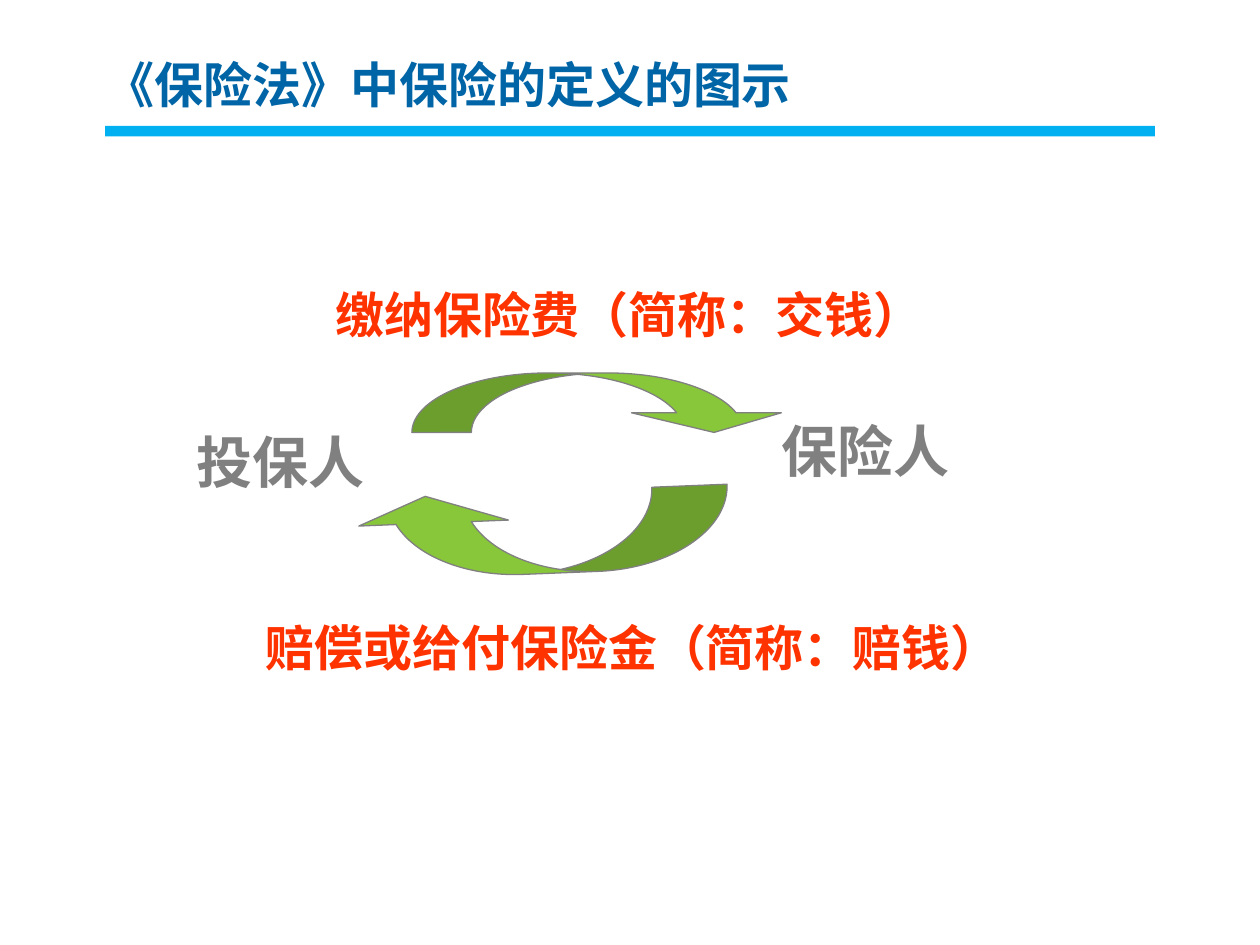
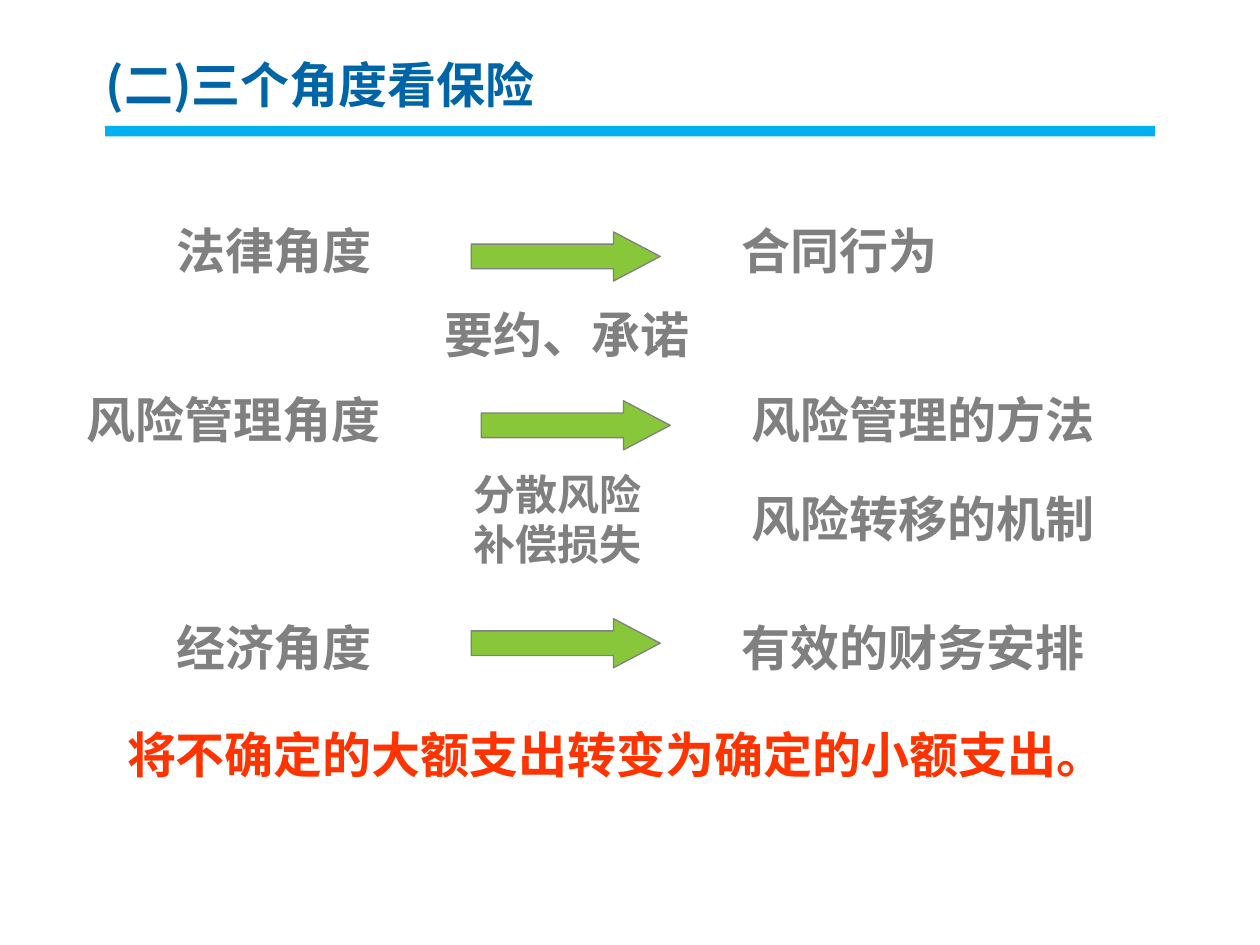
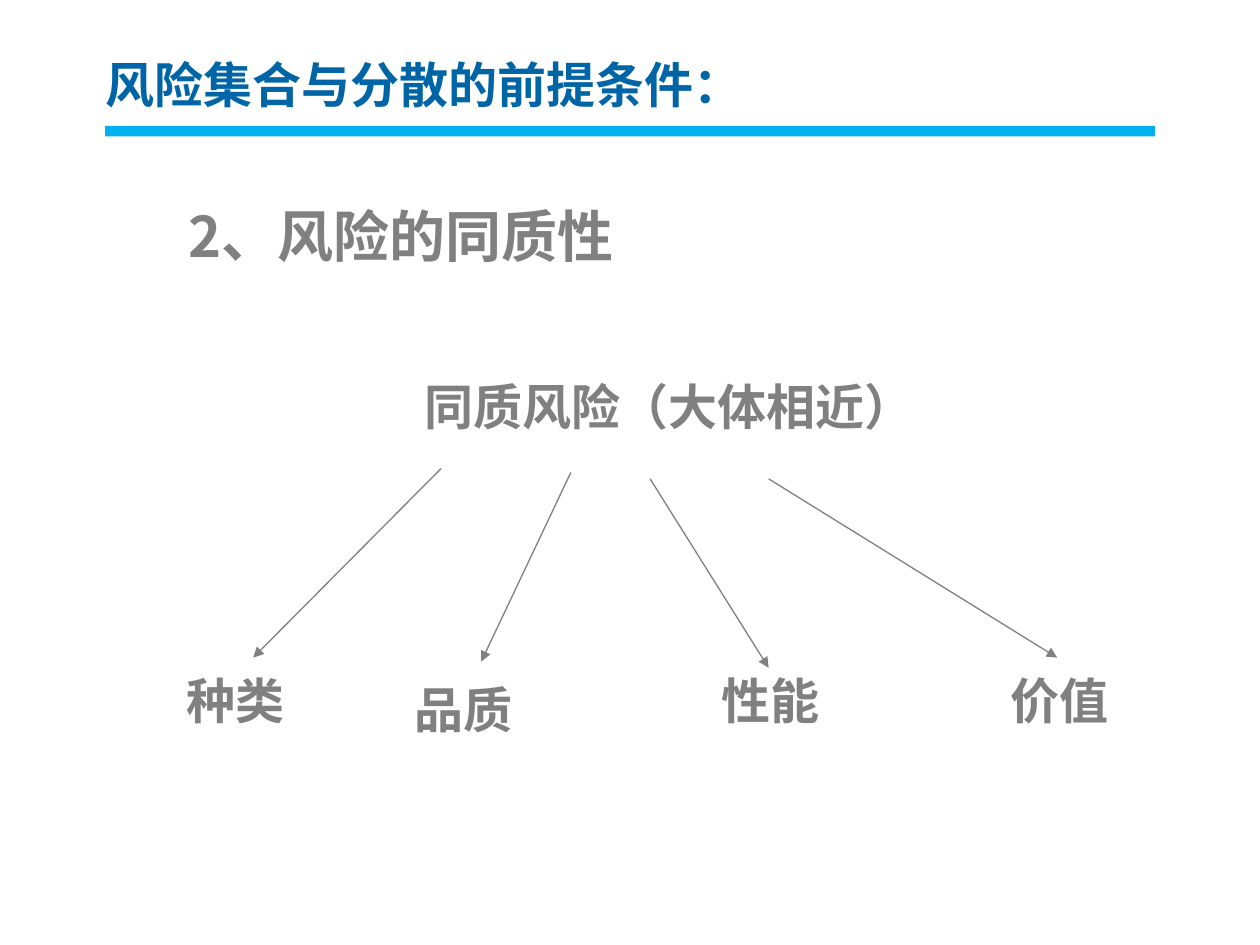
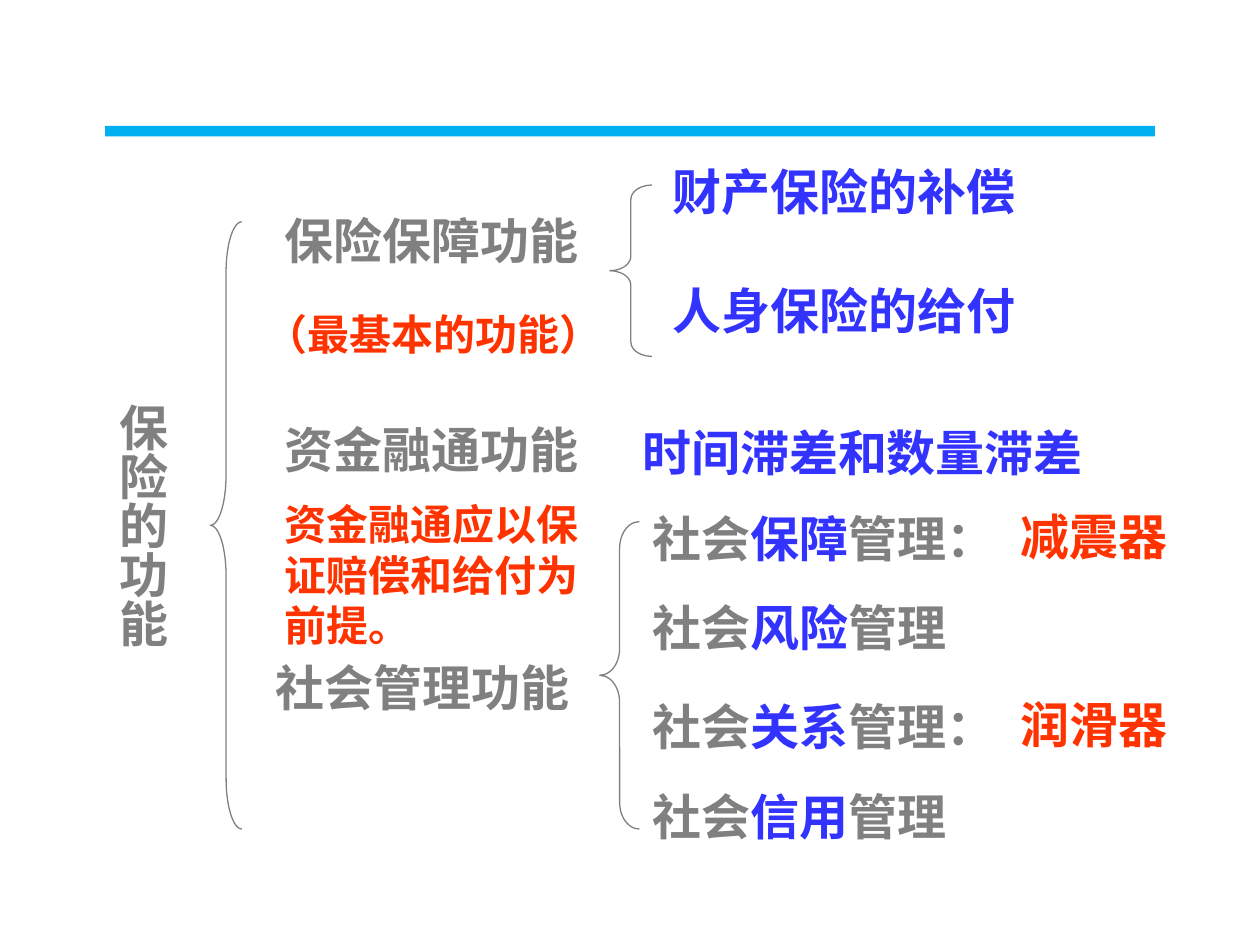
"""Build four slides that explain what insurance is and what it does."""
from dataclasses import dataclass

from lxml import etree
from pptx import Presentation
from pptx.dml.color import RGBColor
from pptx.enum import shapes, text
from pptx.oxml import ns
from pptx.util import Pt


@dataclass(frozen=True)
class Theme:
    """Hold the colours, type sizes and fonts of the deck."""
    blue: str = "0065A6"
    band: str = "00B0F0"
    red: str = "FF3300"
    gray: str = "808080"
    ink: str = "3333FF"
    green: str = "88C63A"
    small: int = 24
    body: int = 28
    large: int = 32
    rule: float = 0.75
    lead: float = 1.2
    slack: float = 4
    sans: str = "DejaVu Sans"
    latin: str = "Arial"
    han: str = "Noto Sans CJK SC"


T = Theme()
KIND = shapes.MSO_SHAPE


@dataclass(frozen=True)
class Span:
    """Describe one run of text."""
    words: str
    color: str = T.gray
    font: str = T.han


@dataclass(frozen=True)
class Note:
    """Describe one text box; each row of spans is a paragraph."""
    x: float
    y: float
    w: float
    rows: tuple[tuple[Span, ...], ...]
    size: int = T.body
    lines: int = 1


@dataclass(frozen=True)
class Form:
    """Describe one preset shape."""
    kind: shapes.MSO_SHAPE
    x: float
    y: float
    w: float
    h: float
    adj: tuple[float, ...] = ()
    fill: str | None = T.green
    line: str | None = T.gray
    turn: float = 0


@dataclass(frozen=True)
class Ray:
    """Describe one arrow from a start point to an end point."""
    x1: float
    y1: float
    x2: float
    y2: float


def add_run(para, span: Span, size: int) -> None:
    """Append one bold run to a paragraph."""
    run = para.add_run()
    run.text = span.words
    font = run.font
    font.name, font.size, font.bold = span.font, Pt(size), True
    font.color.rgb = RGBColor.from_string(span.color)
    east = etree.SubElement(font._element, ns.qn("a:ea"))
    east.set("typeface", T.han)


def add_note(slide, note: Note):
    """Draw one text box and return its frame."""
    count = max(note.lines, len(note.rows))
    high = count * note.size * T.lead + 7.2
    box = slide.shapes.add_textbox(
        Pt(note.x), Pt(note.y), Pt(note.w + T.slack), Pt(high))
    frame = box.text_frame
    frame.word_wrap = True
    for i, row in enumerate(note.rows):
        para = frame.add_paragraph() if i else frame.paragraphs[0]
        for span in row:
            add_run(para, span, note.size)
    return frame


def add_form(slide, form: Form):
    """Draw one preset shape."""
    shape = slide.shapes.add_shape(
        form.kind, Pt(form.x), Pt(form.y), Pt(form.w), Pt(form.h))
    shape.shadow.inherit = False
    shape.rotation = form.turn
    for i, value in enumerate(form.adj):
        shape.adjustments[i] = value
    if form.fill:
        shape.fill.solid()
        shape.fill.fore_color.rgb = RGBColor.from_string(form.fill)
    else:
        shape.fill.background()
    if form.line:
        shape.line.color.rgb = RGBColor.from_string(form.line)
        shape.line.width = Pt(T.rule)
    else:
        shape.line.fill.background()
    return shape


def add_ray(slide, ray: Ray) -> None:
    """Draw one thin line with an arrowhead at its end."""
    link = slide.shapes.add_connector(
        shapes.MSO_CONNECTOR.STRAIGHT,
        Pt(ray.x1), Pt(ray.y1), Pt(ray.x2), Pt(ray.y2))
    link.line.color.rgb = RGBColor.from_string(T.gray)
    link.line.width = Pt(T.rule)
    head = etree.SubElement(link.line._get_or_add_ln(), ns.qn("a:tailEnd"))
    head.set("type", "triangle")
    etree.SubElement(link.element.spPr, ns.qn("a:effectLst"))


def add_page(deck, title: str = ""):
    """Add a slide, with a title when there is one."""
    slide = deck.slides.add_slide(deck.slide_layouts[5 if title else 6])
    if title:
        frame = slide.shapes.title.text_frame
        frame.vertical_anchor = text.MSO_ANCHOR.TOP
        para = frame.paragraphs[0]
        para.alignment = text.PP_ALIGN.LEFT
        add_run(para, Span(title, T.blue), T.body)
    return slide


def set_base(deck, slide) -> None:
    """Place the title on its layout and the band on the master."""
    head = deck.slide_layouts[5].placeholders[0]
    head.left, head.top = Pt(53.3), Pt(27.4)
    head.width, head.height = Pt(625), Pt(49.7)
    band = add_form(slide, Form(KIND.RECTANGLE, 60, 72, 600, 6,
                                fill=T.band, line=None))
    band.element.nvSpPr.cNvPr.set("id", "20")
    deck.slide_master.shapes.element.append(band.element)


def one(x: float, y: float, w: float, words: str, color: str = T.gray,
        font: str = T.han, size: int = T.body) -> Note:
    """Make a note of one line in one colour."""
    return Note(x, y, w, ((Span(words, color, font),),), size)


def draw_cycle(deck) -> None:
    """Show the exchange between the two parties."""
    slide = add_page(deck, "《保险法》中保险的定义的图示")
    set_base(deck, slide)
    claim = (Span("赔偿或给付保险金", T.red, T.sans),
             Span("（简称：赔钱）", T.red, T.latin))
    for note in (
        one(184.5, 159.1, 350, "缴纳保险费（简称：交钱）", T.red, T.sans),
        Note(144.7, 349.2, 433.4, (claim,)),
        one(105.1, 240.5, 110.2, "投保人", font=T.sans, size=T.large),
        one(439.2, 234.7, 110.2, "保险人", font=T.sans, size=T.large),
    ):
        add_note(slide, note)
    bend = KIND.CURVED_DOWN_ARROW
    add_form(slide, Form(bend, 235.4, 213.1, 215.5, 34, (1, 2.52, 0.33)))
    add_form(slide, Form(bend, 201, 281, 215.5, 46.8, (0.92, 1.83, 0.33),
                         turn=177.7))


def draw_views(deck) -> None:
    """Show the three views of insurance."""
    slide = add_page(deck, "(二)三个角度看保险")
    for x, y, w, words in (
        (93.6, 122.4, 126, "法律角度"),
        (42.5, 218.9, 182.2, "风险管理角度"),
        (93.6, 349.2, 126, "经济角度"),
        (416.9, 122.4, 126, "合同行为"),
        (422.6, 218.9, 210.2, "风险管理的方法"),
        (422.6, 275.8, 210.2, "风险转移的机制"),
        (416.9, 349.2, 210.2, "有效的财务安排"),
        (247, 170.6, 154, "要约、承诺"),
    ):
        add_note(slide, one(x, y, w, words, font=T.sans))
    rows = tuple((Span(words, font=T.sans),) for words in ("分散风险", "补偿损失"))
    add_note(slide, Note(263.5, 264.2, 110.2, rows, T.small))
    add_note(slide, one(65.5, 410.4, 573.1,
                        "将不确定的大额支出转变为确定的小额支出。", T.red, T.sans))
    for x, y in ((269.3, 132.5), (275, 229), (269.3, 353.5)):
        add_form(slide, Form(KIND.RIGHT_ARROW, x, y, 108, 28.1, (0.5, 0.95)))


def draw_traits(deck) -> None:
    """Show the four traits of like risks."""
    slide = add_page(deck, "风险集合与分散的前提条件：")
    add_note(slide, one(235.4, 211.7, 293.8, "同质风险（大体相近）"))
    for x, y, words, ray in (
        (99.4, 379.4, "种类", Ray(252, 267.8, 144.7, 375.8)),
        (229.7, 384.5, "品质", Ray(326.2, 270, 275, 378)),
        (405.4, 379.4, "性能", Ray(371.5, 273.6, 439.2, 381.6)),
        (570.2, 379.4, "价值", Ray(439.2, 273.6, 604.1, 375.8)),
    ):
        add_note(slide, one(x, y, 70, words))
        add_ray(slide, ray)
    add_note(slide, one(100.8, 111.6, 254, "2、风险的同质性", size=T.large))


def draw_roles(deck) -> None:
    """Show the tree of the roles of insurance."""
    slide = add_page(deck)
    for x, y, w, words, color, size in (
        (377.3, 88.6, 221.8, "财产保险的补偿", T.ink, T.body),
        (377.3, 157, 231.1, "人身保险的给付", T.ink, T.body),
        (155.5, 116.6, 193, "保险保障功能", T.gray, T.body),
        (155.5, 236.2, 198.7, "资金融通功能", T.gray, T.body),
        (150.5, 372.2, 198.7, "社会管理功能", T.gray, T.body),
        (144.7, 172.8, 205.9, "（最基本的功能）", T.red, T.small),
        (360, 237.6, 265.7, "时间滞差和数量滞差", T.ink, T.body),
        (576, 285.8, 97.9, "减震器", T.red, T.body),
        (576, 393.1, 97.9, "润滑器", T.red, T.body),
    ):
        add_note(slide, one(x, y, w, words, color, size=size))
    for y, key, tail in ((287.3, "保障", "管理："), (337.7, "风险", "管理"),
                         (394.6, "关系", "管理："), (445.7, "信用", "管理")):
        row = (Span("社会"), Span(key, T.ink), Span(tail))
        add_note(slide, Note(365.8, y, 215.3, (row,)))
    add_note(slide, Note(
        155.5, 281.5, 193, ((Span("资金融通应以保证赔偿和给付为前提。", T.red),),),
        T.small, lines=3))
    for x, y, w, h, bend in ((348.5, 105.8, 24, 97.9, 0.34),
                             (120.2, 126.7, 18, 347, 1.6),
                             (342.7, 298.1, 22.7, 175.7, 0.67)):
        add_form(slide, Form(KIND.LEFT_BRACE, x, y, w, h, (bend, 0.5), None))
    frame = add_note(slide, Note(50, 223.4, 47.5, ((Span("保险的功能"),),),
                                 lines=5))
    frame._bodyPr.set("vert", "eaVert")
    frame.margin_left = frame.margin_right = Pt(3.6)
    frame.margin_top = frame.margin_bottom = Pt(7.2)


def main() -> None:
    """Build the deck and save it."""
    deck = Presentation()
    deck.slide_width, deck.slide_height = Pt(720), Pt(540)
    for draw in (draw_cycle, draw_views, draw_traits, draw_roles):
        draw(deck)
    deck.save("out.pptx")


if __name__ == "__main__":
    main()
